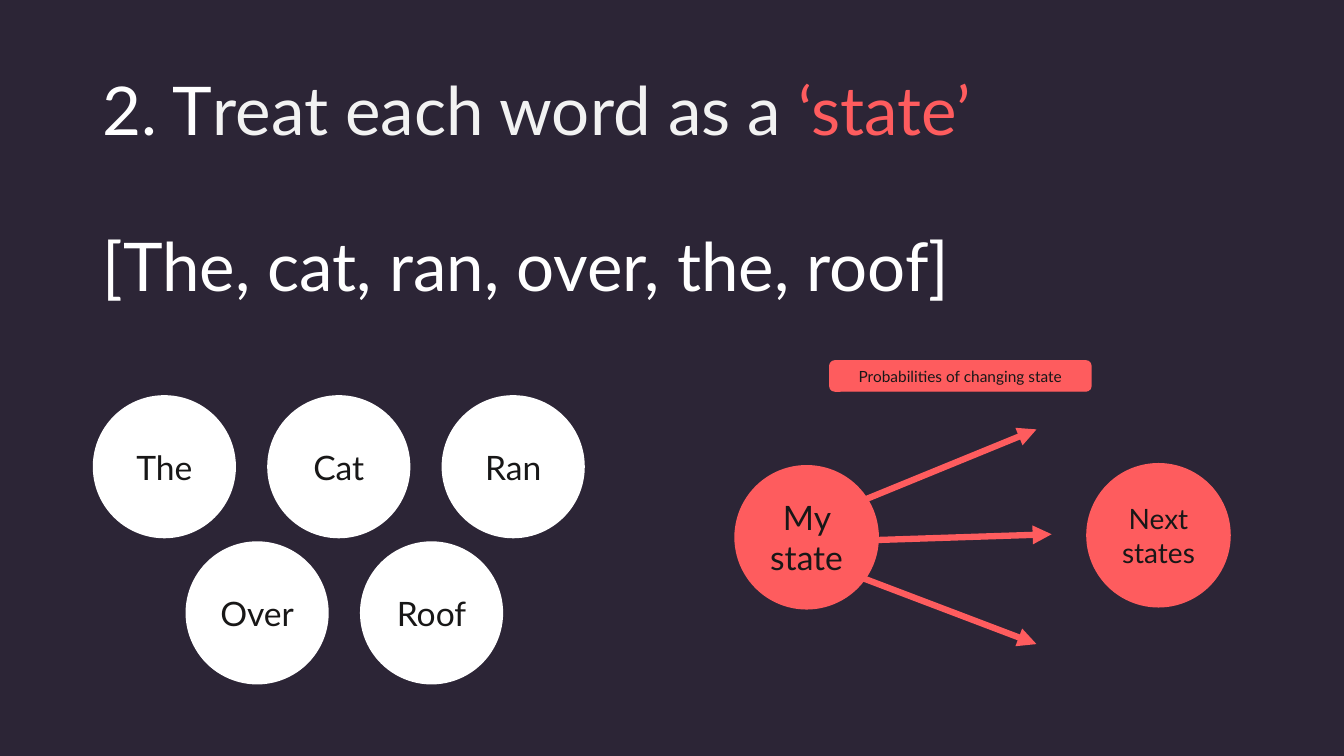
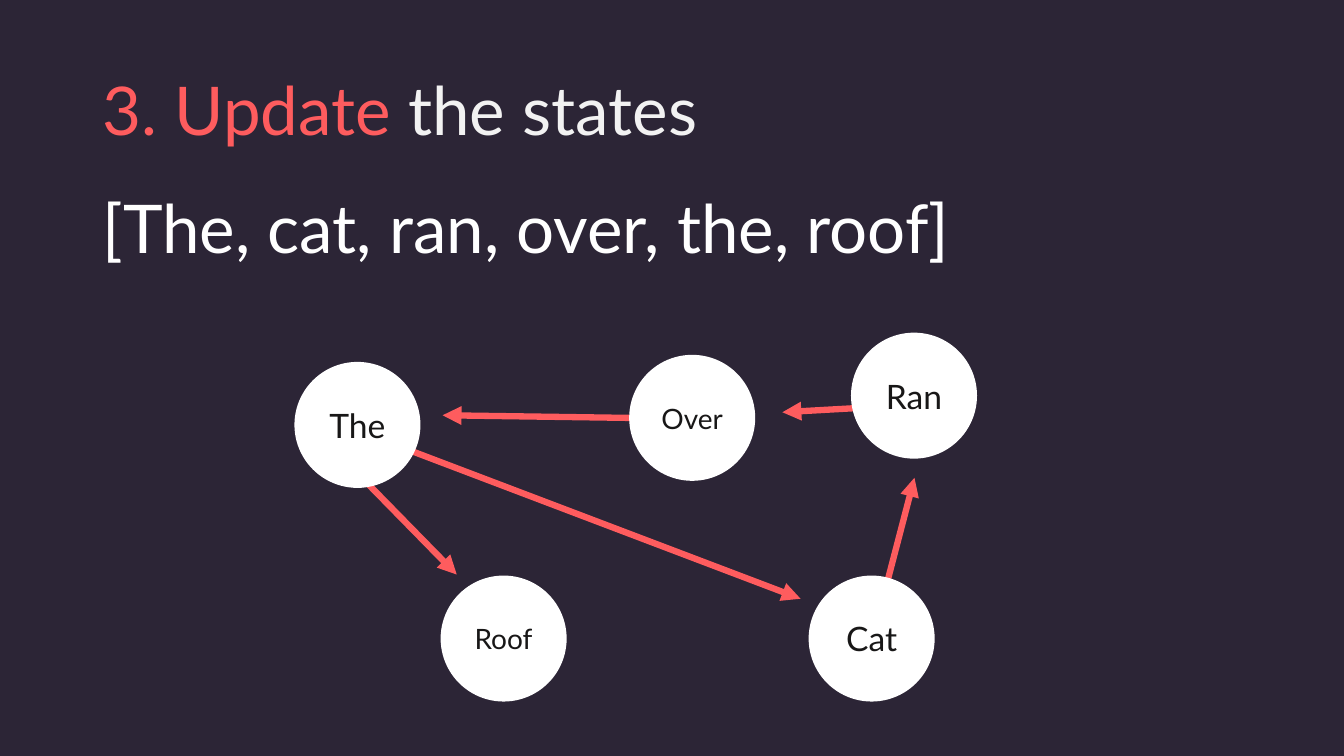
from lxml import etree
from pptx import Presentation
from pptx.dml.color import RGBColor
from pptx.enum.shapes import MSO_CONNECTOR, MSO_SHAPE
from pptx.enum.text import MSO_ANCHOR, MSO_AUTO_SIZE, PP_ALIGN
from pptx.oxml.ns import qn
from pptx.util import Inches, Pt

STRAIGHT = MSO_CONNECTOR.STRAIGHT
ELLIPSE = MSO_SHAPE.OVAL
ROUNDED = MSO_SHAPE.ROUNDED_RECTANGLE
MIDDLE = MSO_ANCHOR.MIDDLE
FIXED = MSO_AUTO_SIZE.NONE
LEFT, CENTER = PP_ALIGN.LEFT, PP_ALIGN.CENTER

COLORS = {
    "background": "2C2536",
    "white": "FFFFFF",
    "soft": "F2F2F2",
    "accent": "FE5C5E",
    "ink": "181717",
}
FONT = "Lato"
TITLE_ONLY = 5
MARGIN, CONTENT_WIDTH = 0.92, 11.5
SENTENCE = "[The, cat, ran, over, the, roof]"


def rgb(name):
    return RGBColor.from_string(COLORS[name])


def write(frame, *runs, size=24, align=CENTER, spacing=1.0):
    frame.word_wrap = True
    frame.auto_size = FIXED
    frame.vertical_anchor = MIDDLE
    paragraph = frame.paragraphs[0]
    paragraph.alignment = align
    paragraph.line_spacing = spacing
    for text, color in runs:
        run = paragraph.add_run()
        run.text = text
        run.font.name = FONT
        run.font.size = Pt(size)
        run.font.color.rgb = rgb(color)


def add_label(slide, kind, box, text, fill="white", size=24):
    label = slide.shapes.add_shape(kind, *map(Inches, box))
    label.shadow.inherit = False
    label.fill.solid()
    label.fill.fore_color.rgb = rgb(fill)
    if fill == "accent":
        label.line.color.rgb = rgb(fill)
        label.line.width = Pt(1)
    else:
        label.line.fill.background()
    write(label.text_frame, (text, "ink"), size=size)


def add_circle(slide, left, top, diameter, text, **style):
    add_label(slide, ELLIPSE, (left, top, diameter, diameter), text, **style)


def add_arrow(slide, left, top, start, end):
    arrow = slide.shapes.add_connector(
        STRAIGHT,
        Inches(left + start[0]), Inches(top + start[1]),
        Inches(left + end[0]), Inches(top + end[1]),
    )
    arrow.line.color.rgb = rgb("accent")
    arrow.line.width = Pt(4.5)
    etree.SubElement(arrow.line._get_or_add_ln(), qn("a:tailEnd"), type="triangle")
    etree.SubElement(arrow._element.spPr, qn("a:effectLst"))


def add_step(prs, title_runs, sentence_top):
    slide = prs.slides.add_slide(prs.slide_layouts[TITLE_ONLY])
    title = slide.shapes.title
    title.left, title.top = Inches(MARGIN), Inches(0.4)
    title.width, title.height = Inches(CONTENT_WIDTH), Inches(1.45)
    write(title.text_frame, *title_runs, size=48, align=LEFT, spacing=0.9)
    sentence = slide.shapes.add_textbox(
        Inches(MARGIN), Inches(sentence_top), Inches(CONTENT_WIDTH), Inches(1)
    )
    write(sentence.text_frame, (SENTENCE, "white"), size=48, align=LEFT, spacing=0.9)
    return slide


def add_word_states(slide, left, top):
    rows = [(0, ["The", "Cat", "Ran"]), (0.92, ["Over", "Roof"])]
    for row, (indent, words) in enumerate(rows):
        for column, word in enumerate(words):
            add_circle(slide, left + indent + column * 1.73, top + row * 1.45, 1.42, word)


def add_transition(slide, left, top):
    add_circle(slide, left, top + 1.04, 1.42, "My state", fill="accent")
    for start, end in [
        ((1.28, 1.38), (2.99, 0.68)),
        ((1.33, 1.78), (3.14, 1.72)),
        ((1.2, 2.13), (2.99, 2.81)),
    ]:
        add_arrow(slide, left, top, start, end)
    add_circle(slide, left + 3.49, top + 1.02, 1.42, "Next states", fill="accent", size=20)
    add_label(slide, ROUNDED, (left + 0.94, top, 2.59, 0.3),
              "Probabilities of changing state", fill="accent", size=11)


def add_state_graph(slide, left, top):
    for start, end in [
        ((1.07, 1.14), (5.02, 2.64)),
        ((5.86, 2.55), (6.15, 1.44)),
        ((5.73, 0.74), (4.84, 0.79)),
        ((3.58, 0.85), (1.47, 0.82)),
        ((0.67, 1.44), (1.61, 2.4)),
    ]:
        add_arrow(slide, left, top, start, end)
    for word, x, y, size in [
        ("The", 0, 0.29, 24),
        ("Cat", 5.1, 2.41, 24),
        ("Ran", 5.52, 0, 24),
        ("Over", 3.32, 0.22, 20),
        ("Roof", 1.45, 2.41, 20),
    ]:
        add_circle(slide, left + x, top + y, 1.25, word, size=size)


def main():
    prs = Presentation()
    prs.slide_width, prs.slide_height = Inches(13.33), Inches(7.5)
    backdrop = prs.slide_master.background.fill
    backdrop.solid()
    backdrop.fore_color.rgb = rgb("background")

    treat = add_step(
        prs,
        [("2. T", "white"), ("reat each word as a ", "soft"), ("‘state’", "accent")],
        sentence_top=2.18,
    )
    add_word_states(treat, MARGIN, 3.92)
    add_transition(treat, 7.29, 3.58)

    update = add_step(
        prs, [("3. Update ", "accent"), ("the states", "soft")], sentence_top=1.8
    )
    add_state_graph(update, 2.92, 3.3)

    prs.save("out.pptx")


if __name__ == "__main__":
    main()
